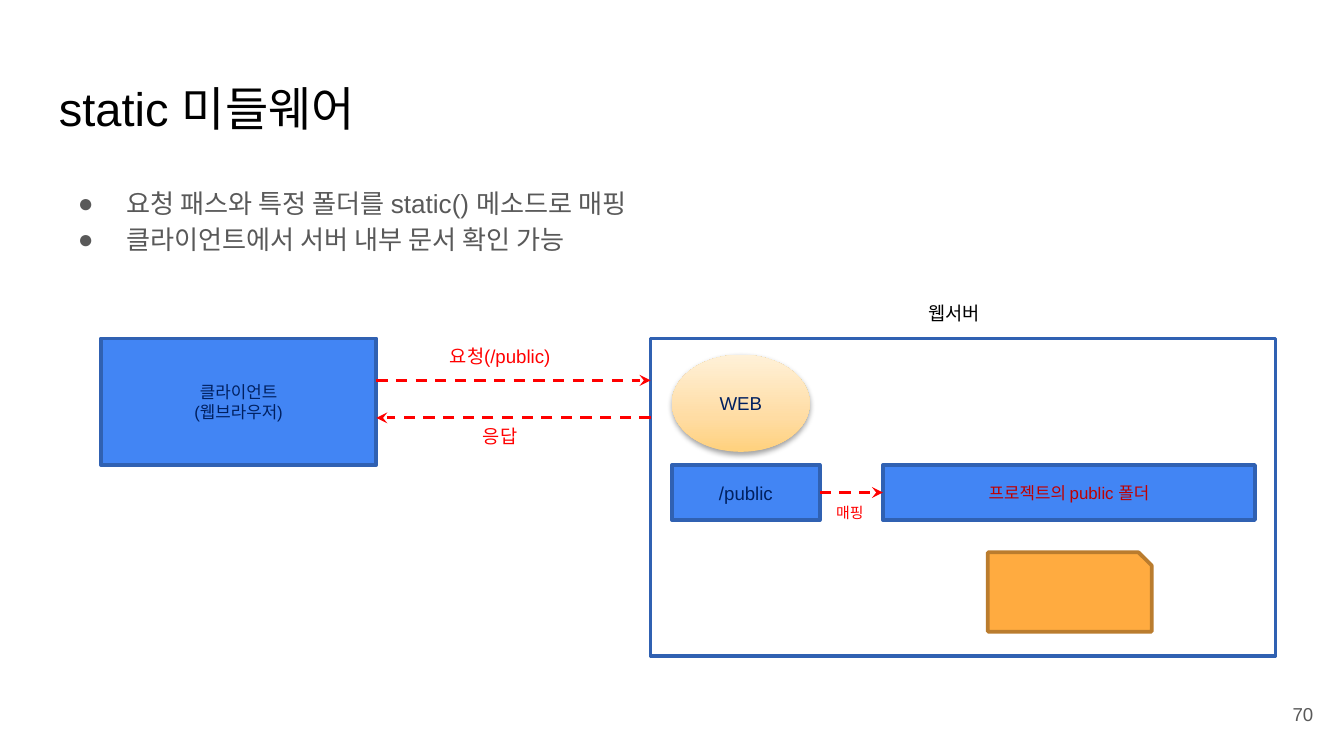
import pptx
import pptx.dml.color
import pptx.enum.dml
import pptx.enum.shapes
import pptx.enum.text
import pptx.oxml
import pptx.oxml.ns
import pptx.util
from lxml import etree

Pt = pptx.util.Pt
SHAPE = pptx.enum.shapes.MSO_SHAPE
ALIGN = pptx.enum.text.PP_ALIGN
ANCHOR = pptx.enum.text.MSO_ANCHOR
qn = pptx.oxml.ns.qn
NS = pptx.oxml.ns.nsdecls("a")

FONT = "Arial"
COLORS = {
    "black": "000000", "gray": "595959", "navy": "002060",
    "blue": "4285F4", "blue_edge": "3061B2",
    "orange": "FFAB40", "orange_edge": "BA7C2E",
    "red": "FF0000", "dark_red": "C00000",
}
WEB_GRADIENT = [(0, "FFD17D"), (35, "FFDCA3"), (100, "FFF1D8")]

TITLE = "static 미들웨어"
BULLETS = ["요청 패스와 특정 폴더를 static() 메소드로 매핑",
           "클라이언트에서 서버 내부 문서 확인 가능"]
PAGE_NUMBER = "70"

# Boxes are (left, top, width, height) in points.
CLIENT = (54, 181.4, 147.6, 67.7)
SERVER = (348.5, 181.4, 334.8, 169.9)
PUBLIC_PATH = (360, 249.1, 79.2, 29.5)
PUBLIC_FOLDER = (473, 249.1, 199.4, 29.5)
WEB = (360, 190.1, 73.8, 52)
DOCUMENT = (529.2, 295.9, 87.8, 42.5)

# shape, box, fill, edge, text, size, text colour
BLOCKS = [
    (SHAPE.RECTANGLE, CLIENT, "blue", "blue_edge", "클라이언트\n(웹브라우저)", 9, "navy"),
    (SHAPE.RECTANGLE, SERVER, None, "blue_edge", "", 10, "navy"),
    (SHAPE.RECTANGLE, PUBLIC_PATH, "blue", "blue_edge", "/public", 10, "navy"),
    (SHAPE.RECTANGLE, PUBLIC_FOLDER, "blue", "blue_edge", "프로젝트의 public 폴더", 9, "dark_red"),
    (SHAPE.OVAL, WEB, None, None, "WEB", 10, "navy"),
    (SHAPE.SNIP_1_RECTANGLE, DOCUMENT, "orange", "orange_edge", "", 10, "navy"),
]
# text, box, size, colour, alignment
LABELS = [
    ("웹서버", (490.3, 158.4, 44.6, 19.4), 10, "black", ALIGN.LEFT),
    ("요청(/public)", (232.6, 181.4, 70.6, 19.4), 10, "red", ALIGN.CENTER),
    ("응답", (250.6, 223.9, 34.6, 19.4), 10, "red", ALIGN.CENTER),
    ("매핑", (439.9, 266.4, 31, 17.3), 8, "red", ALIGN.CENTER),
]


def right(box):
    return box[0] + box[2]


# start x, end x, y
ARROWS = [
    (right(CLIENT), SERVER[0], 203.8),
    (SERVER[0], right(CLIENT), 223.9),
    (right(PUBLIC_PATH), PUBLIC_FOLDER[0], PUBLIC_PATH[1] + PUBLIC_PATH[3] / 2),
]


def rgb(name):
    return pptx.dml.color.RGBColor.from_string(COLORS[name])


def write(frame, text, size, color, align, margin_y, anchor=ANCHOR.TOP, wrap=True):
    frame.text = text
    frame.word_wrap = wrap
    frame.vertical_anchor = anchor
    frame.margin_left = frame.margin_right = Pt(7.2)
    frame.margin_top = frame.margin_bottom = Pt(margin_y)
    for paragraph in frame.paragraphs:
        paragraph.alignment = align
        for run in paragraph.runs:
            run.font.size = Pt(size)
            run.font.name = FONT
            run.font.color.rgb = rgb(color)


def add_text(slide, box, *args, **kwargs):
    frame = slide.shapes.add_textbox(*map(Pt, box)).text_frame
    write(frame, *args, **kwargs)
    return frame


def add_bullets(frame):
    for paragraph in frame.paragraphs:
        paragraph.line_spacing = 1.15
        properties = paragraph._p.get_or_add_pPr()
        properties.set("marL", str(Pt(36)))
        properties.set("indent", str(-Pt(25.9)))
        bullet_color = etree.SubElement(properties, qn("a:buClr"))
        etree.SubElement(bullet_color, qn("a:srgbClr"), val=COLORS["gray"])
        etree.SubElement(properties, qn("a:buFont"), typeface=FONT)
        etree.SubElement(properties, qn("a:buChar"), char="●")


def add_block(slide, kind, box, fill, edge, text, size, color):
    block = slide.shapes.add_shape(kind, *map(Pt, box))
    block.shadow.inherit = False
    if fill:
        block.fill.solid()
        block.fill.fore_color.rgb = rgb(fill)
    else:
        block.fill.background()
    if edge:
        block.line.color.rgb = rgb(edge)
        block.line.width = Pt(2)
    else:
        block.line.fill.background()
    if text:
        write(block.text_frame, text, size, color, ALIGN.CENTER, 3.6, ANCHOR.MIDDLE)
    if kind == SHAPE.OVAL:
        shade(block)


def shade(block):
    """Give the block its gradient fill and soft shadow below."""
    block.fill.gradient()
    block.fill.gradient_angle = 90
    properties = block._element.spPr
    stops = properties.find(".//" + qn("a:gsLst"))
    stops.clear()
    for position, color in WEB_GRADIENT:
        stop = etree.SubElement(stops, qn("a:gs"), pos=str(position * 1000))
        etree.SubElement(stop, qn("a:srgbClr"), val=color)
    properties.find(qn("a:effectLst")).append(pptx.oxml.parse_xml(
        f'<a:outerShdw {NS} blurRad="{Pt(3.1)}" dist="{Pt(1.6)}" dir="5400000" rotWithShape="0">'
        f'<a:srgbClr val="{COLORS["black"]}"><a:alpha val="37000"/></a:srgbClr></a:outerShdw>'))


def add_arrow(slide, start, end, y):
    arrow = slide.shapes.add_connector(
        pptx.enum.shapes.MSO_CONNECTOR.STRAIGHT, Pt(start), Pt(y), Pt(end), Pt(y))
    arrow.line.color.rgb = rgb("red")
    arrow.line.width = Pt(1.5)
    arrow.line.dash_style = pptx.enum.dml.MSO_LINE.DASH
    etree.SubElement(arrow.line._get_or_add_ln(), qn("a:tailEnd"), type="stealth")
    etree.SubElement(arrow._element.spPr, qn("a:effectLst"))


def main():
    deck = pptx.Presentation()
    deck.slide_width, deck.slide_height = Pt(720), Pt(405)
    slide = deck.slides.add_slide(deck.slide_layouts[6])

    add_text(slide, (24.5, 35.3, 671, 45.4), TITLE, 25.2, "black", ALIGN.LEFT, 7.2)
    add_bullets(add_text(slide, (24.5, 90.7, 671, 269.3), "\n".join(BULLETS),
                         14, "gray", ALIGN.LEFT, 7.2))
    add_text(slide, (667.4, 367.2, 43.2, 31), PAGE_NUMBER, 10, "gray", ALIGN.RIGHT, 7.2,
             anchor=ANCHOR.MIDDLE)
    for block in BLOCKS:
        add_block(slide, *block)
    for arrow in ARROWS:
        add_arrow(slide, *arrow)
    for text, box, size, color, align in LABELS:
        add_text(slide, box, text, size, color, align, 3.6, wrap=False)

    deck.save("out.pptx")


if __name__ == "__main__":
    main()
